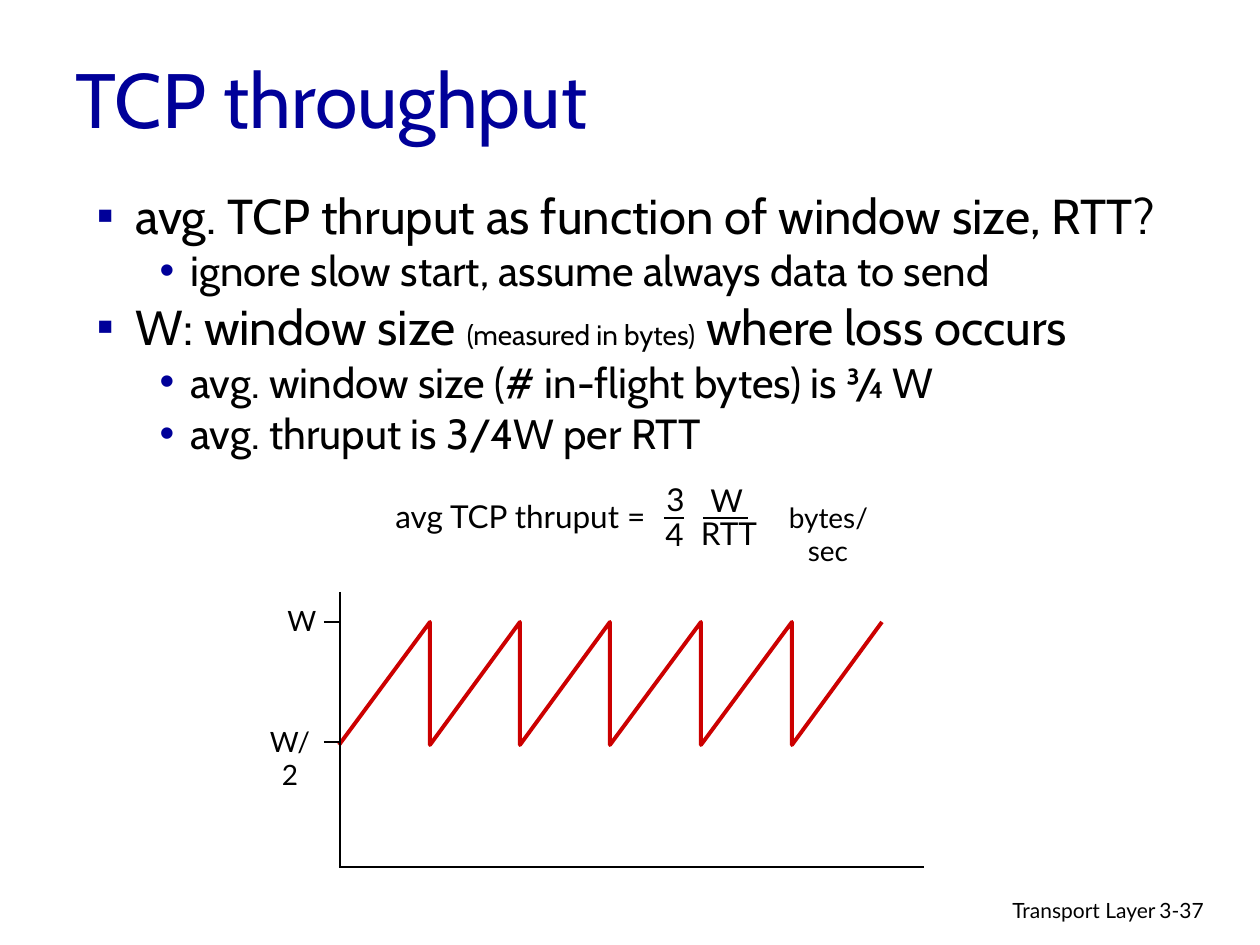
import pptx
import pptx.dml.color
import pptx.enum.text
import pptx.util
import lxml.etree
import pptx.oxml.ns

BLACK = pptx.dml.color.RGBColor(0x00, 0x00, 0x00)
NAVY = pptx.dml.color.RGBColor(0x00, 0x00, 0x99)
RED = pptx.dml.color.RGBColor(0xCC, 0x00, 0x00)

LEFT = pptx.enum.text.PP_ALIGN.LEFT
CENTER = pptx.enum.text.PP_ALIGN.CENTER
RIGHT = pptx.enum.text.PP_ALIGN.RIGHT

SCALE = pptx.util.Inches(1) / 126

TITLE = "TCP throughput"
BULLETS = [
    (0, [("avg. TCP thruput as function of window size, RTT?", 28)]),
    (1, [("ignore slow start, assume always data to send", 24)]),
    (0, [("W: window size ", 28), ("(measured in bytes)", 16), (" where loss occurs", 28)]),
    (1, [("avg. window size (# in-flight bytes) is ¾ W", 24)]),
    (1, [("avg. thruput is 3/4W per RTT", 24)]),
]
BULLET_STYLES = [("▪", 39, 39), ("•", 94, 31)]

FOOTER_LABELS = [
    ("Transport Layer", (769, 891, 399, 39), 12, RIGHT, True),
    ("3-37", (1147, 891, 93, 38), 12, LEFT, True),
]
AXIS_LABELS = [
    ("W", (275, 597, 50, 47), 16, CENTER, False),
    ("W/2", (252, 718, 76, 47), 16, CENTER, True),
]
FORMULA_LABELS = [
    ("avg TCP thruput = ", (377, 491, 295, 50), 18, CENTER, False),
    ("3", (654, 474, 43, 50), 18, CENTER, False),
    ("4", (653, 509, 43, 50), 18, CENTER, False),
    ("W", (698, 475, 54, 50), 18, CENTER, False),
    ("RTT", (688, 508, 82, 50), 18, CENTER, False),
    ("bytes/sec", (758, 494, 140, 47), 16, CENTER, True),
]
AXIS_LINES = [
    (339, 867, 924, 867),
    (340, 592, 340, 868),
    (324, 622, 339, 622),
    (324, 742, 339, 742),
]
FRACTION_BARS = [(664, 518, 684, 518), (703, 518, 748, 518)]

TOOTH_COUNT = 6
TOOTH_LEFT, TOOTH_RIGHT = 339, 882
TOOTH_TOP, TOOTH_BOTTOM = 622, 745


def px(value):
    return pptx.util.Emu(round(value * SCALE))


def add_text(paragraph, text, size, font="Lato", color=BLACK, align=LEFT):
    paragraph.alignment = align
    run = paragraph.add_run()
    run.text = text
    run.font.size = pptx.util.Pt(size)
    run.font.name = font
    run.font.color.rgb = color


def place(shape, left, top, width, height):
    shape.left, shape.top = px(left), px(top)
    shape.width, shape.height = px(width), px(height)


def add_labels(shapes, labels):
    for text, box, size, align, wrap in labels:
        shape = shapes.add_textbox(*map(px, box))
        shape.text_frame.word_wrap = wrap
        add_text(shape.text_frame.paragraphs[0], text, size, align=align)


def add_lines(shapes, lines):
    for line in lines:
        connector = shapes.add_connector(
            pptx.enum.shapes.MSO_CONNECTOR.STRAIGHT, *map(px, line))
        connector.line.color.rgb = BLACK
        connector.line.width = pptx.util.Pt(1.5)
        lxml.etree.SubElement(
            connector._element.spPr, pptx.oxml.ns.qn("a:effectLst"))


def add_sawtooth(shapes):
    step = (TOOTH_RIGHT - TOOTH_LEFT) / TOOTH_COUNT
    points = []
    for index in range(TOOTH_COUNT):
        left = TOOTH_LEFT + index * step
        points += [(left, TOOTH_BOTTOM), (left + step, TOOTH_TOP)]
    builder = shapes.build_freeform(*points[0], scale=SCALE)
    builder.add_line_segments(points[1:], close=False)
    shape = builder.convert_to_shape()
    shape.shadow.inherit = False
    shape.fill.background()
    shape.line.color.rgb = RED
    shape.line.width = pptx.util.Pt(2.25)


def set_bullet(paragraph, level):
    character, margin, hanging = BULLET_STYLES[level]
    properties = paragraph._p.get_or_add_pPr()
    properties.set("marL", str(px(margin)))
    properties.set("indent", str(-px(hanging)))
    color = lxml.etree.SubElement(properties, pptx.oxml.ns.qn("a:buClr"))
    lxml.etree.SubElement(color, pptx.oxml.ns.qn("a:srgbClr"), val=str(NAVY))
    lxml.etree.SubElement(properties, pptx.oxml.ns.qn("a:buFont"), typeface="Arial")
    lxml.etree.SubElement(properties, pptx.oxml.ns.qn("a:buChar"), char=character)


def fill_body(body):
    frame = body.text_frame
    frame.auto_size = pptx.enum.text.MSO_AUTO_SIZE.NONE
    for index, (level, runs) in enumerate(BULLETS):
        paragraph = frame.add_paragraph() if index else frame.paragraphs[0]
        paragraph.level = level
        paragraph.line_spacing = 0.85
        paragraph.space_before = pptx.util.Pt(runs[0][1] * 0.2)
        set_bullet(paragraph, level)
        for text, size in runs:
            add_text(paragraph, text, size, font="Cabin")


def main():
    presentation = pptx.Presentation()
    presentation.slide_width, presentation.slide_height = px(1260), px(945)
    slide = presentation.slides.add_slide(presentation.slide_layouts[1])
    title, body = slide.placeholders

    place(title, 63, 33, 1071, 129)
    title.text_frame.vertical_anchor = pptx.enum.text.MSO_ANCHOR.MIDDLE
    title.text_frame.auto_size = pptx.enum.text.MSO_AUTO_SIZE.NONE
    add_text(title.text_frame.paragraphs[0], TITLE, 44, font="Cabin", color=NAVY)

    place(body, 84, 188, 1139, 640)
    fill_body(body)
    add_labels(slide.shapes, FOOTER_LABELS)

    graph = slide.shapes.add_group_shape().shapes
    add_sawtooth(graph)
    add_lines(graph, AXIS_LINES)
    add_labels(graph, AXIS_LABELS)

    formula = slide.shapes.add_group_shape().shapes
    add_labels(formula, FORMULA_LABELS)
    add_lines(formula, FRACTION_BARS)

    presentation.save("out.pptx")


if __name__ == "__main__":
    main()
